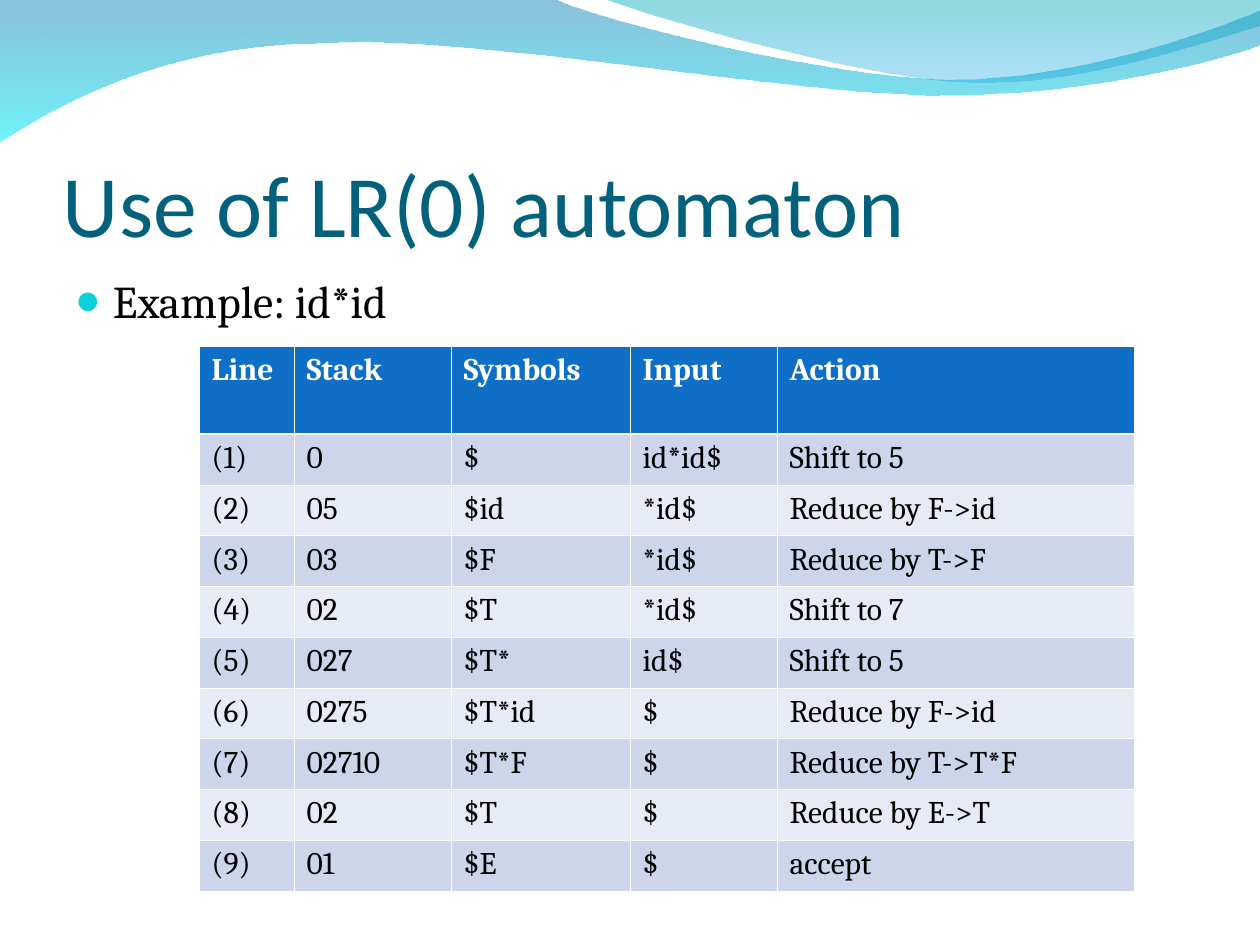
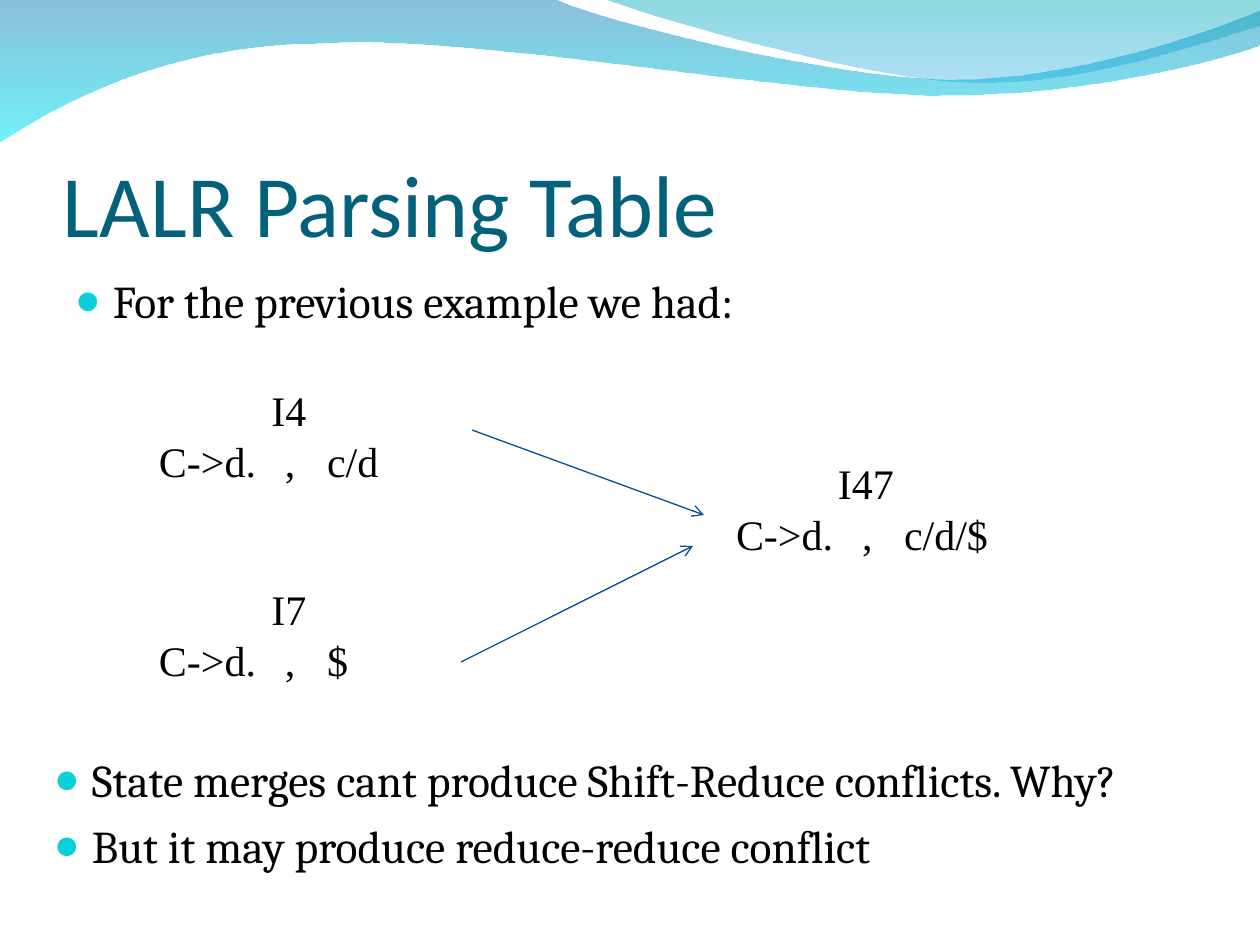
from lxml import etree
from pptx import Presentation
from pptx.dml.color import RGBColor
from pptx.enum.shapes import MSO_CONNECTOR
from pptx.enum.text import MSO_ANCHOR, PP_ALIGN
from pptx.oxml.ns import qn
from pptx.util import Pt

STRAIGHT = MSO_CONNECTOR.STRAIGHT
TOP, BOTTOM = MSO_ANCHOR.TOP, MSO_ANCHOR.BOTTOM
LEFT, CENTER = PP_ALIGN.LEFT, PP_ALIGN.CENTER

PX = 914400 / 126
SLIDE_W, SLIDE_H = 1260, 945
COLORS = {
    "title": "04617B", "text": "000000", "bullet": "0BD0D9", "arrow": "065093",
    "header": "0F6FC6", "odd_row": "CCD5EA", "even_row": "E7EBF5", "white": "FFFFFF",
    "wave_blue": "0079AF", "wave_cyan": "00EBF8",
    "crest_teal": "00ADB6", "crest_sky": "009BE5",
}
BODY_FONT, TITLE_FONT, ITEM_FONT = "Cambria", "Calibri", "Times New Roman"
BULLET_FONT = "Times New Roman"

# Outline steps: one point is a straight line, three are a cubic curve.
# Gradient stops: colour and opacity in percent, from top to bottom.
WAVES = [
    {"start": (0, -1),
     "steps": [[(554, -1)],
               [(600, 21), (837, 79), (955, 79)],
               [(1075, 79), (1207, 33), (1260, 11)],
               [(1261, 45)],
               [(1237, 55), (1096, 96), (940, 95)],
               [(784, 95), (481, 35), (324, 43)],
               [(163, 44), (58, 105), (-1, 142)],
               [(0, -1)]],
     "stops": [("wave_blue", 46), ("wave_cyan", 56)]},
    {"start": (604, -1),
     "steps": [[(641, 14), (859, 78), (969, 82)],
               [(1079, 87), (1211, 40), (1260, 26)],
               [(1260, 0)],
               [(604, -1)]],
     "stops": [("crest_teal", 46), ("crest_sky", 31)]},
]

AUTOMATON_TITLE = "Use of LR(0) automaton"
AUTOMATON_EXAMPLE = ["Example: id*id"]
PARSE_HEADER = ("Line", "Stack", "Symbols", "Input", "Action")
PARSE_MOVES = [
    ("0", "$", "id*id$", "Shift to 5"),
    ("05", "$id", "*id$", "Reduce by F->id"),
    ("03", "$F", "*id$", "Reduce by T->F"),
    ("02", "$T", "*id$", "Shift to 7"),
    ("027", "$T*", "id$", "Shift to 5"),
    ("0275", "$T*id", "$", "Reduce by F->id"),
    ("02710", "$T*F", "$", "Reduce by T->T*F"),
    ("02", "$T", "$", "Reduce by E->T"),
    ("01", "$E", "$", "accept"),
]
PARSE_LEFT, PARSE_TOP, PARSE_H = 199, 346, 545
PARSE_COLUMNS = (95, 157, 179, 147, 357)
HEADER_H = 88
MOVE_H = (PARSE_H - HEADER_H) / len(PARSE_MOVES)

LALR_TITLE = "LALR Parsing Table"
LALR_INTRO = ["For the previous example we had:"]
ITEM_SETS = [  # state, lookahead, left, top
    ("I4", "c/d", 147, 379),
    ("I7", "$", 147, 578),
    ("I47", "c/d/$", 724, 452),
]
ITEM_SIZE = (284, 164)
ITEM_TABS = (126, 168)
MERGE_ARROWS = [((472, 430), (704, 515)), ((461, 662), (693, 546))]
LALR_CONCLUSIONS = [
    "State merges cant produce Shift-Reduce conflicts. Why?",
    "But it may produce reduce-reduce conflict",
]


def px(length):
    return round(length * PX)


def rgb(name):
    return RGBColor.from_string(COLORS[name])


def add_xml(parent, tag, **attributes):
    return etree.SubElement(parent, qn(tag), attributes)


def write(frame, lines, *, size, font=BODY_FONT, color="text", bold=False, aligns=(LEFT,),
          bullet=False, tabs=(), gap=0, spacing=None):
    """Fill a text frame; aligns gives one alignment per line, the last one repeating."""
    for i, line in enumerate(lines):
        paragraph = frame.paragraphs[0] if i == 0 else frame.add_paragraph()
        props = paragraph._p.get_or_add_pPr()
        if bullet:
            props.set("marL", str(px(38)))
            props.set("indent", str(px(-38)))
            add_xml(add_xml(props, "a:buClr"), "a:srgbClr", val=COLORS["bullet"])
            add_xml(props, "a:buSzPct", val="95000")
            add_xml(props, "a:buFont", typeface=BULLET_FONT)
            add_xml(props, "a:buChar", char="●")
        if tabs:
            tab_list = add_xml(props, "a:tabLst")
            for stop in tabs:
                add_xml(tab_list, "a:tab", pos=str(px(stop)), algn="l")
        paragraph.alignment = aligns[min(i, len(aligns) - 1)]
        if gap and i:
            paragraph.space_before = Pt(gap)
        if spacing:
            paragraph.line_spacing = spacing
        run = paragraph.add_run()
        run.text = line
        run.font.size, run.font.name, run.font.bold = Pt(size), font, bold
        run.font.color.rgb = rgb(color)


def add_text(slide, box, lines, *, anchor=TOP, insets=(12, 6, 12, 6), **text_format):
    frame = slide.shapes.add_textbox(*map(px, box)).text_frame
    frame.word_wrap = True
    frame.vertical_anchor = anchor
    (frame.margin_left, frame.margin_top,
     frame.margin_right, frame.margin_bottom) = map(px, insets)
    write(frame, lines, **text_format)


def add_bullets(slide, box, lines):
    add_text(slide, box, lines, size=26, bullet=True, gap=6.5)


def bend(outline, steps):
    """Merge each three-point step of a straight-sided outline into one cubic curve."""
    sides = iter(list(outline.iter(qn("a:lnTo"))))
    for step in steps:
        step_sides = [next(sides) for _ in step]
        if len(step) == 3:
            curve = etree.Element(qn("a:cubicBezTo"))
            step_sides[0].addprevious(curve)
            for side in step_sides:
                curve.append(side[0])
                side.getparent().remove(side)


def add_wave(slide, start, steps, stops):
    builder = slide.shapes.build_freeform(*start, scale=PX)
    builder.add_line_segments([point for step in steps for point in step], close=True)
    wave = builder.convert_to_shape()
    bend(wave.element.spPr, steps)
    wave.shadow.inherit = False
    wave.line.fill.background()
    wave.fill.gradient()
    wave.fill.gradient_angle = 270
    for stop, (color, _) in zip(wave.fill.gradient_stops, stops):
        stop.color.rgb = rgb(color)
    tints = wave.element.spPr.iter(qn("a:srgbClr"))
    for tint, (_, opacity) in zip(list(tints), stops):
        add_xml(tint, "a:alpha", val=str(opacity * 1000))


def add_titled_slide(deck, title):
    slide = deck.slides.add_slide(deck.slide_layouts[6])
    for wave in WAVES:
        add_wave(slide, **wave)
    add_text(slide, (63, 98, 1134, 157), [title], anchor=BOTTOM, insets=(0, 6, 0, 0),
             size=50, font=TITLE_FONT, color="title")
    return slide


def set_borders(cell, bottom, top):
    """Draw white cell edges; widths are in points."""
    props = cell._tc.get_or_add_tcPr()
    for i, (side, width) in enumerate((("L", 0.23), ("R", 0.23), ("T", top), ("B", bottom))):
        edge = etree.Element(qn(f"a:ln{side}"), w=str(Pt(width)))
        add_xml(add_xml(edge, "a:solidFill"), "a:srgbClr", val=COLORS["white"])
        props.insert(i, edge)


def add_parse_table(slide):
    rows = [PARSE_HEADER] + [(f"({n})", *move) for n, move in enumerate(PARSE_MOVES, 1)]
    heights = [HEADER_H] + [MOVE_H] * len(PARSE_MOVES)
    box = (PARSE_LEFT, PARSE_TOP, sum(PARSE_COLUMNS), PARSE_H)
    table = slide.shapes.add_table(len(rows), len(PARSE_HEADER), *map(px, box)).table
    for column, width in zip(table.columns, PARSE_COLUMNS):
        column.width = px(width)
    for r, (row, height) in enumerate(zip(rows, heights)):
        table.rows[r].height = px(height)
        is_header = r == 0
        shade = "header" if is_header else "odd_row" if r % 2 else "even_row"
        for c, value in enumerate(row):
            cell = table.cell(r, c)
            cell.fill.solid()
            cell.fill.fore_color.rgb = rgb(shade)
            set_borders(cell, bottom=0.75 if is_header else 0.23, top=0.75 if r == 1 else 0.23)
            write(cell.text_frame, [value], size=18, bold=is_header, spacing=0.98,
                  color="white" if is_header else "text")


def add_arrow(slide, start, end):
    arrow = slide.shapes.add_connector(STRAIGHT, *map(px, start + end))
    arrow.line.color.rgb = rgb("arrow")
    arrow.line.width = Pt(0.75)
    add_xml(arrow.line._get_or_add_ln(), "a:tailEnd", type="arrow")
    add_xml(arrow._element.spPr, "a:effectLst")


def build_automaton_slide(deck):
    slide = add_titled_slide(deck, AUTOMATON_TITLE)
    add_bullets(slide, (63, 267, 1134, 605), AUTOMATON_EXAMPLE)
    add_parse_table(slide)


def build_lalr_slide(deck):
    slide = add_titled_slide(deck, LALR_TITLE)
    add_bullets(slide, (63, 267, 1134, 154), LALR_INTRO)
    for state, lookahead, left, top in ITEM_SETS:
        add_text(slide, (left, top, *ITEM_SIZE), [state, f"C->d.\t,\t{lookahead}"],
                 size=24, font=ITEM_FONT, aligns=(CENTER, LEFT), tabs=ITEM_TABS)
    for start, end in MERGE_ARROWS:
        add_arrow(slide, start, end)
    add_bullets(slide, (42, 746, 1134, 154), LALR_CONCLUSIONS)


def main():
    deck = Presentation()
    deck.slide_width, deck.slide_height = px(SLIDE_W), px(SLIDE_H)
    build_automaton_slide(deck)
    build_lalr_slide(deck)
    deck.save("out.pptx")


if __name__ == "__main__":
    main()
